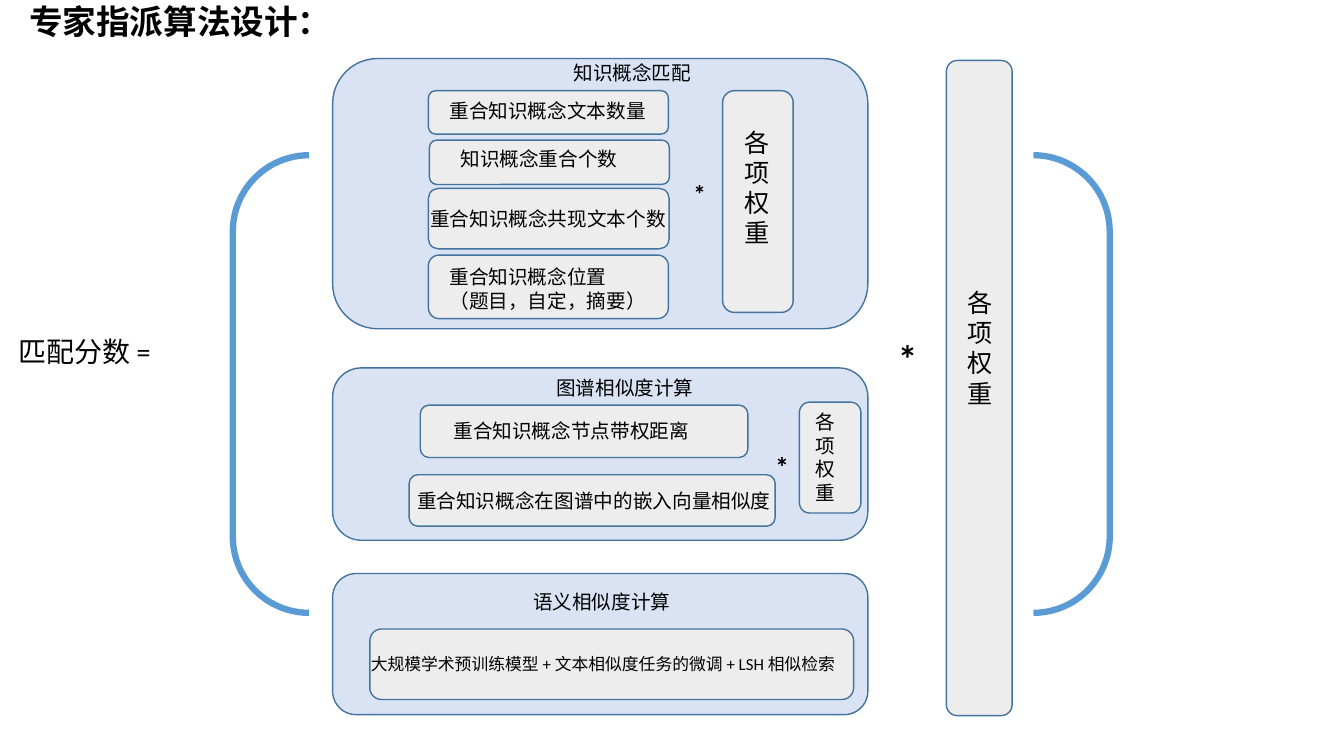
from dataclasses import dataclass

from pptx import Presentation
from pptx.dml.color import RGBColor
from pptx.enum.shapes import MSO_SHAPE
from pptx.oxml.ns import qn
from pptx.shapes.autoshape import Shape
from pptx.slide import Slide
from pptx.util import Pt

ROUNDED = MSO_SHAPE.ROUNDED_RECTANGLE
BRACKETS = MSO_SHAPE.DOUBLE_BRACKET

BLACK = RGBColor(0x00, 0x00, 0x00)
PANEL_BLUE = RGBColor(0xDA, 0xE3, 0xF3)
BOX_GREY = RGBColor(0xED, 0xED, 0xED)
OUTLINE_BLUE = RGBColor(0x43, 0x73, 0x9E)
BRACKET_BLUE = RGBColor(0x5B, 0x9B, 0xD5)

BODY_FONT = "Calibri"
TITLE_FONT = "Noto Sans CJK SC"
WEIGHTS = "各项权重"
PANEL_LEFT, PANEL_WIDTH = 237.6, 382.3


@dataclass(frozen=True)
class Frame:
    """Left, top, width and height in points."""
    left: float
    top: float
    width: float
    height: float

    def lengths(self) -> tuple[Pt, Pt, Pt, Pt]:
        return Pt(self.left), Pt(self.top), Pt(self.width), Pt(self.height)


@dataclass(frozen=True)
class Label:
    text: str
    frame: Frame
    size: float = 14
    bold: bool = False
    font: str = BODY_FONT
    line_spacing: float = 1.0


@dataclass(frozen=True)
class Factor:
    """A grey box and the label lying on it."""
    box: Frame
    label: Label


@dataclass(frozen=True)
class Panel:
    top: float
    height: float
    caption: Label
    factors: tuple[Factor, ...]
    times: Label | None = None


TITLE = Label("专家指派算法设计：", Frame(13.7, 0.7, 738.7, 41), 24, True, TITLE_FONT, 0.9)
SCORE = Label("匹配分数 =", Frame(5.8, 235.4, 134, 31.7), 20)
TOTAL_TIMES = Label("*", Frame(634.3, 235.4, 17.3, 41), 28, True)
TOTAL_WEIGHTS = Factor(Frame(676, 43.2, 47, 468),
                       Label(WEIGHTS, Frame(684, 201.6, 31, 94.3), 18))
SUM_BRACKETS = Frame(166.3, 110.9, 626.4, 326.9)

PANELS = (
    Panel(409.7, 100.8, Label("语义相似度计算", Frame(373.7, 417.6, 160.6, 24.5)), (
        Factor(Frame(264.2, 449.3, 345.6, 50.4),
               Label("大规模学术预训练模型 + 文本相似度任务的微调 + LSH 相似检索",
                     Frame(257.8, 463.7, 370, 21.6), 12)),
    )),
    Panel(262.8, 123.1, Label("图谱相似度计算", Frame(390.2, 265, 167.8, 24.5)), (
        Factor(Frame(300.2, 289.4, 234, 37.4),
               Label("重合知识概念节点带权距离", Frame(316.8, 295.9, 201.6, 24.5))),
        Factor(Frame(292.3, 339.1, 261.4, 36.7),
               Label("重合知识概念在图谱中的嵌入向量相似度", Frame(290.9, 345.6, 275.8, 41))),
        Factor(Frame(571, 287.3, 43.9, 79.2),
               Label(WEIGHTS, Frame(575.3, 289.4, 35.3, 74.9))),
    ), Label("*", Frame(546.5, 317.5, 20.2, 31.7), 20, True)),
    Panel(41.8, 193, Label("知识概念匹配", Frame(402.5, 40.3, 113.8, 24.5)), (
        Factor(Frame(306, 64.8, 171.4, 31),
               Label("重合知识概念文本数量", Frame(313.9, 67, 179.3, 24.5))),
        Factor(Frame(306.7, 100.1, 171.4, 31.7),
               Label("知识概念重合个数", Frame(321.8, 101.5, 193.7, 24.5))),
        Factor(Frame(306, 134.6, 172, 43.2),
               Label("重合知识概念共现文本个数", Frame(300.2, 144, 193.7, 24.5))),
        Factor(Frame(306, 182.2, 171.4, 45.4),
               Label("重合知识概念位置\n（题目，自定，摘要）", Frame(313.9, 185.8, 193.7, 41))),
        Factor(Frame(516.2, 64.8, 50.4, 158.4),
               Label(WEIGHTS, Frame(524.9, 87.1, 33.1, 94.3), 18)),
    ), Label("*", Frame(488.2, 123.8, 19.4, 28.8), 18, True)),
)


def add_label(slide: Slide, label: Label) -> None:
    text_frame = slide.shapes.add_textbox(*label.frame.lengths()).text_frame
    text_frame.word_wrap = True
    text_frame.text = label.text
    font_format = {"name": label.font, "size": Pt(label.size), "bold": label.bold}
    for paragraph in text_frame.paragraphs:
        paragraph.line_spacing = label.line_spacing
        for run in paragraph.runs:
            for attribute, value in font_format.items():
                setattr(run.font, attribute, value)
            run.font.color.rgb = BLACK
            east_asian = run.font._element.makeelement(qn("a:ea"), {"typeface": label.font})
            run.font._element.find(qn("a:latin")).addnext(east_asian)


def add_outline(slide: Slide, preset: MSO_SHAPE, frame: Frame,
                color: RGBColor, width: float) -> Shape:
    """Add an unfilled preset shape with a coloured line."""
    outline = slide.shapes.add_shape(preset, *frame.lengths())
    outline.shadow.inherit = False
    outline.fill.background()
    outline.line.color.rgb = color
    outline.line.width = Pt(width)
    return outline


def add_box(slide: Slide, frame: Frame, color: RGBColor) -> None:
    box = add_outline(slide, ROUNDED, frame, OUTLINE_BLUE, 1)
    box.fill.solid()
    box.fill.fore_color.rgb = color


def add_factor(slide: Slide, factor: Factor) -> None:
    add_box(slide, factor.box, BOX_GREY)
    add_label(slide, factor.label)


def add_panel(slide: Slide, panel: Panel) -> None:
    add_box(slide, Frame(PANEL_LEFT, panel.top, PANEL_WIDTH, panel.height), PANEL_BLUE)
    add_label(slide, panel.caption)
    for factor in panel.factors:
        add_factor(slide, factor)
    if panel.times:
        add_label(slide, panel.times)


def main() -> None:
    presentation = Presentation()
    presentation.slide_width, presentation.slide_height = Pt(960), Pt(540)
    slide = presentation.slides.add_slide(presentation.slide_layouts[6])
    add_label(slide, TITLE)
    add_factor(slide, TOTAL_WEIGHTS)
    add_label(slide, TOTAL_TIMES)
    for panel in PANELS:
        add_panel(slide, panel)
    add_outline(slide, BRACKETS, SUM_BRACKETS, BRACKET_BLUE, 4.5)
    add_label(slide, SCORE)
    presentation.save("out.pptx")


if __name__ == "__main__":
    main()
